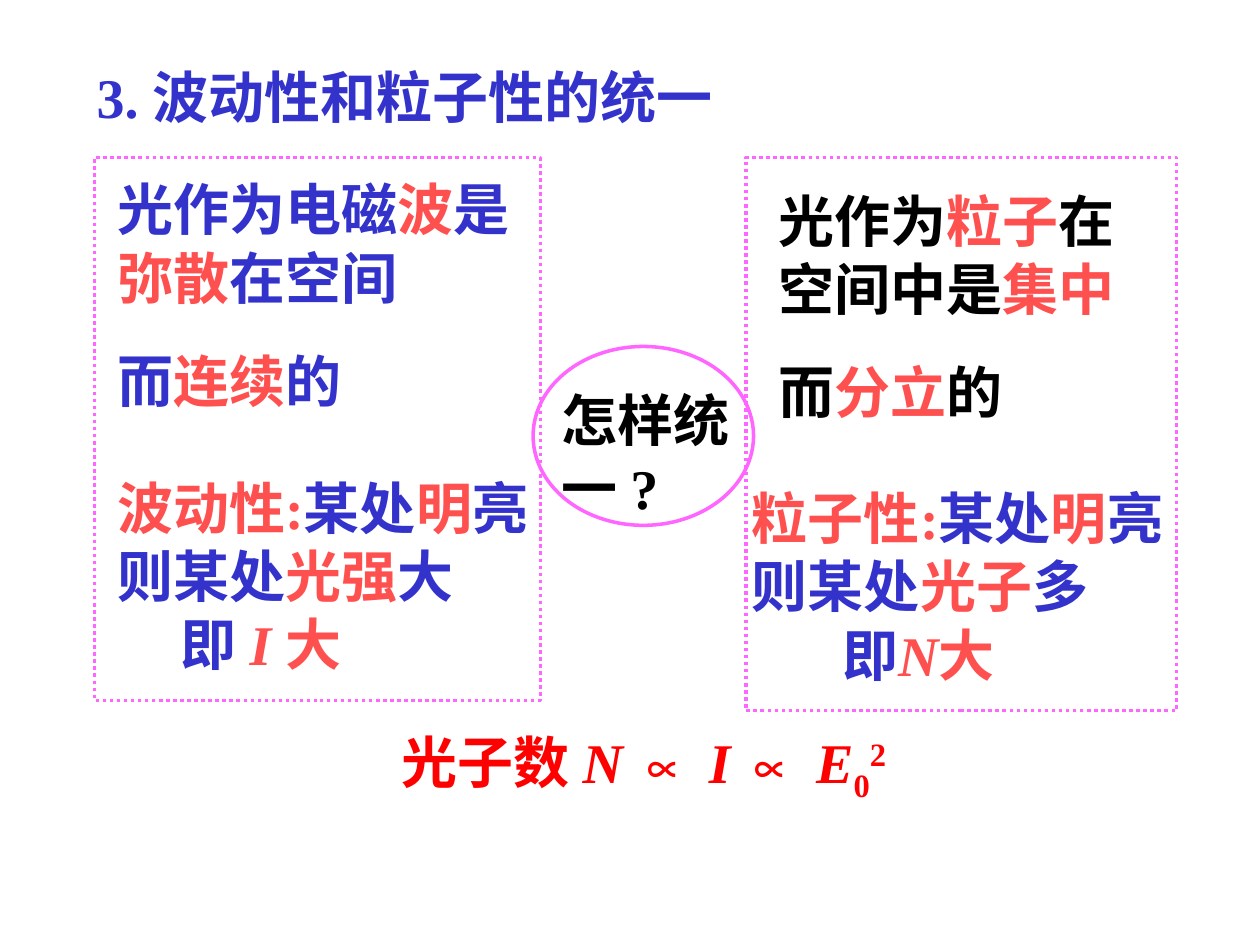
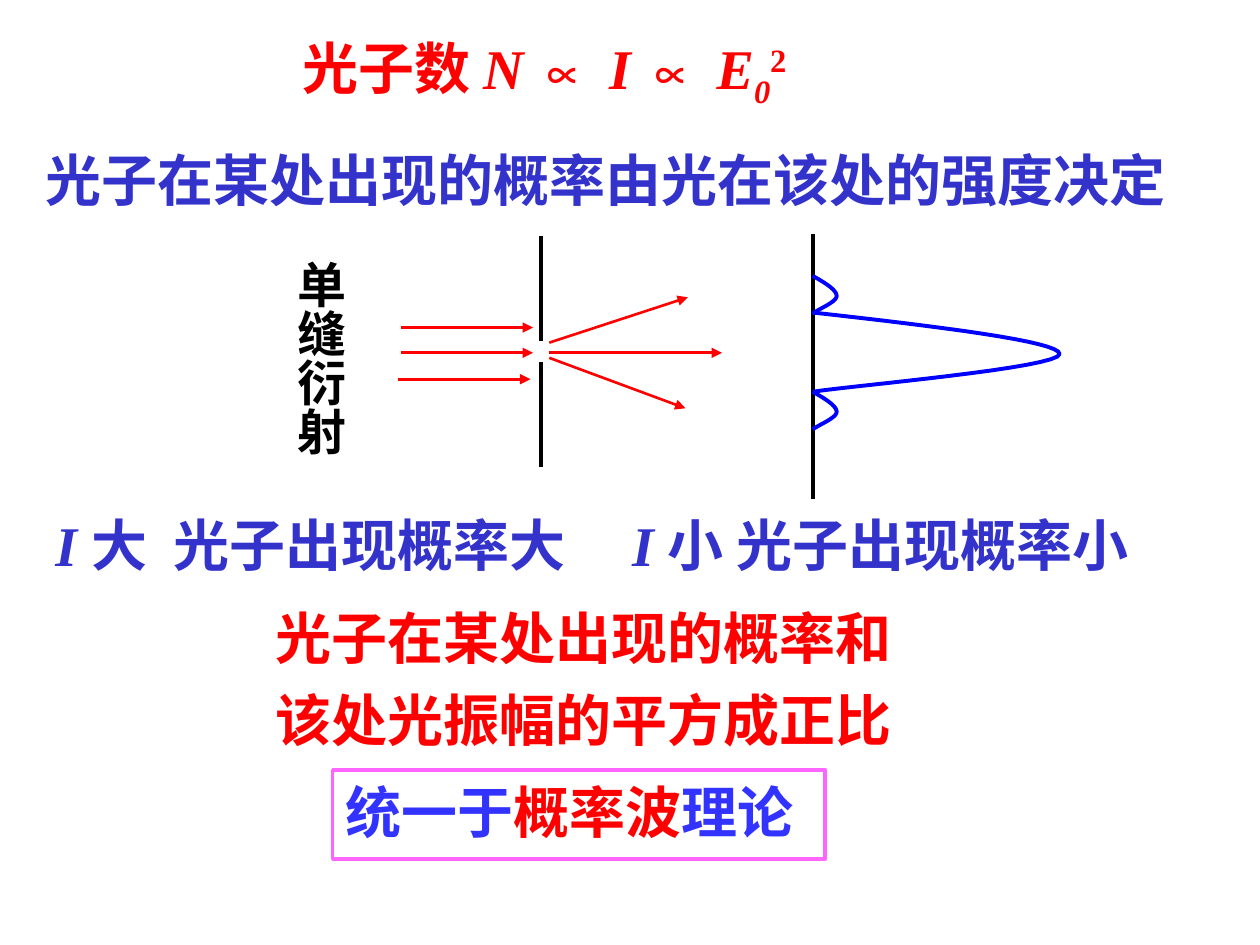
from dataclasses import dataclass

from lxml.etree import SubElement
from pptx import Presentation
from pptx.dml.color import RGBColor
from pptx.enum.dml import MSO_LINE
from pptx.enum.shapes import MSO_CONNECTOR, MSO_SHAPE
from pptx.enum.text import PP_ALIGN
from pptx.oxml.ns import qn
from pptx.util import Pt


@dataclass(frozen=True)
class Theme:
    blue: str = "3333CC"
    bright: str = "3333FF"
    curve: str = "0000FF"
    coral: str = "FF5050"
    red: str = "FF0000"
    black: str = "000000"
    pink: str = "FF66FF"
    serif: str = "Times New Roman"
    sans: str = "Arial"
    han: str = "Noto Sans CJK SC"
    size: int = 32
    small: int = 28
    lead: float = 1.22
    loose: float = 1.46


T = Theme()


def write(slide, place, paras, size=T.size, lead=T.lead, gap=0, align=PP_ALIGN.LEFT):
    """Each run is (text, colour, options); options: font, italic, base, space."""
    box = slide.shapes.add_textbox(*map(Pt, place))
    frame = box.text_frame
    frame.word_wrap = True
    for i, runs in enumerate(paras):
        para = frame.paragraphs[0] if i == 0 else frame.add_paragraph()
        para.alignment = align
        para.line_spacing = Pt(round(size * lead))
        if i:
            para.space_before = Pt(gap)
        for text, color, *rest in runs:
            opts = rest[0] if rest else {}
            run = para.add_run()
            run.text = text
            font = run.font
            font.size, font.bold = Pt(size), True
            font.italic = opts.get("italic", False)
            font.color.rgb = RGBColor.from_string(color)
            font.name = opts.get("font", T.serif)
            props = run._r.get_or_add_rPr()
            SubElement(props, qn("a:ea")).set("typeface", T.han)
            if "base" in opts:
                props.set("baseline", str(opts["base"] * 1000))
            if "space" in opts:
                props.set("spc", str(opts["space"] * 100))
    return frame


def draw(slide, start, end, color, width, arrow=False):
    line = slide.shapes.add_connector(MSO_CONNECTOR.STRAIGHT, *map(Pt, start + end))
    line.line.color.rgb = RGBColor.from_string(color)
    line.line.width = Pt(width)
    if arrow:
        SubElement(line.line._get_or_add_ln(), qn("a:tailEnd")).set("type", "triangle")
    SubElement(line._element.spPr, qn("a:effectLst"))


deck = Presentation()
deck.slide_width, deck.slide_height = Pt(720), Pt(540)
first, second = [deck.slides.add_slide(deck.slide_layouts[6]) for _ in range(2)]

# Runs used on both slides
slant = {"italic": True}
hei = {"font": T.han}
law = [
    ("N ", T.red, slant), ("∝ ", T.red, {"font": T.sans}),
    ("I ", T.red, slant), ("∝ ", T.red, {"font": T.sans}),
    ("E", T.red, slant),
]
square = ("2", T.red, {"base": 30})

# Slide 1: title
write(first, (48.2, 31.7, 462, 46), [[("3. 波动性和粒子性的统一", T.blue)]])

# Slide 1: how light spreads, as wave and as particle
write(first, (59.8, 95.8, 249.1, 142.6), [
    [("光作为电磁", T.blue), ("波", T.coral), ("是", T.blue),
     ("弥散", T.coral), ("在空间", T.blue)],
    [("而", T.blue), ("连续", T.coral), ("的", T.blue)],
], gap=20)
write(first, (437.8, 102.2, 234, 142.6), [
    [("光作为", T.black), ("粒子", T.coral), ("在空间中是", T.black), ("集中", T.coral)],
    [("而", T.black), ("分立", T.coral), ("的", T.black)],
], gap=20)

# Slide 1: what brightness means in each view
views = [
    ((59.8, 266.4, 254.9, 122.4), "波动性:", "光强", "大", "即 ", "I ", 36.5),
    ((422.6, 272.2, 250.6, 122.4), "粒子性:", "光子", "多", "即", "N", 51.5),
]
for place, name, what, much, so, sign, indent in views:
    frame = write(first, place, [
        [(name, T.coral), ("某处", T.blue), ("明", T.coral),
         ("亮则某处", T.blue), (what, T.coral), (much, T.blue)],
        [(so, T.blue), (sign, T.coral, slant), ("大", T.coral)],
    ])
    frame.paragraphs[1]._p.get_or_add_pPr().set("marL", str(Pt(indent)))

# Slide 1: question and conclusion
write(first, (313.9, 216, 120.2, 84.2), [[("怎样统一 ?", T.black)]])
write(first, (172.8, 416.9, 390.2, 51.1),
      [[("光子数 ", T.red), *law, ("0", T.red, {"base": -25}), square]],
      align=PP_ALIGN.CENTER)

# Slide 2: statements
write(second, (18.7, 71.3, 701.3, 53.3),
      [[("光子在某处出现的概率由光在该处的强度决定", T.blue, hei)]], lead=T.loose)
write(second, (24.5, 287.3, 356.4, 46), [[
    ("I ", T.blue, slant), ("大", T.blue), (" ", T.blue, {"space": 8}),
    ("光子出现概率大", T.blue)]])
write(second, (354.2, 287.3, 329, 46),
      [[("I ", T.blue, slant), ("小 光子出现概率小", T.blue, hei)]])
write(second, (150.5, 332.6, 374.4, 99.4),
      [[("光子在某处出现的概率和该处光振幅的平方成正比", T.red, hei)]], lead=T.loose)
write(second, (190.1, 439.9, 282.2, 46), [[
    ("统一于", T.bright, hei), ("概率波", T.red, hei), ("理论", T.bright, hei)]])
write(second, (115.9, 20.2, 390.2, 51.1), [[
    ("光子数 ", T.red, hei), *law, ("0", T.red, {"base": -25, "italic": True}), square]],
    align=PP_ALIGN.CENTER)

# Slide 2: upright label
label = write(second, (156.2, 141.8, 47.5, 150.5), [[("单缝衍射", T.black, hei)]],
              size=T.small, align=PP_ALIGN.CENTER)
label._txBody.bodyPr.set("vert", "eaVert")
label.margin_left = label.margin_right = Pt(3.6)
label.margin_top = label.margin_bottom = Pt(7.2)

# Slide 2: slit walls and screen
for x, top, bottom in [(308.9, 134.6, 195.1), (308.9, 206.6, 267.1), (464.4, 133.9, 285.1)]:
    draw(second, (x, top), (x, bottom), T.black, 2.25)

# Slide 2: rays before and after the slit
rays = [
    ((229, 201.6), (304.6, 201.6)),
    ((229, 187.2), (304.6, 187.2)),
    ((227.5, 216.7), (303.1, 216.7)),
    ((313.9, 201.6), (412.6, 201.6)),
    ((313.9, 195.8), (393.1, 169.9)),
    ((313.9, 204.5), (391.7, 233.3)),
]
for start, end in rays:
    draw(second, start, end, T.red, 1.5, arrow=True)

# Slide 2: intensity curve, two cubic arcs for each peak
edge = 464.4
main = [(0, 178.6), (70.6, 186.5), (141.1, 195.1), (141.1, 202.3),
        (141.1, 210.2), (23, 220.3), (0, 223.9)]
side = [(0, 157.7), (6.5, 161.3), (13.7, 165.6), (13.7, 169.2),
        (13.7, 172.8), (2.2, 177.1), (0, 179.3)]
lower = [(x, y + 66.2) for x, y in side]
steps = 16
for peak in (main, side, lower):
    dots = []
    for arc in (peak[:4], peak[3:]):
        for n in range(steps + 1):
            t = n / steps
            parts = ((1 - t) ** 3, 3 * t * (1 - t) ** 2, 3 * t * t * (1 - t), t ** 3)
            x, y = [sum(w * p[k] for w, p in zip(parts, arc)) for k in (0, 1)]
            dots.append((Pt(edge + x), Pt(y)))
    pen = second.shapes.build_freeform(*dots[0])
    pen.add_line_segments(dots[1:], close=False)
    wave = pen.convert_to_shape()
    wave.shadow.inherit = False
    wave.fill.background()
    wave.line.color.rgb = RGBColor.from_string(T.curve)
    wave.line.width = Pt(2.25)

# Pink outlines on both slides
rect = MSO_SHAPE.RECTANGLE
rings = [
    (first, rect, (54, 90, 254.9, 310.3), True),
    (first, rect, (426.2, 90, 246.2, 316.1), True),
    (first, MSO_SHAPE.OVAL, (304.6, 198, 126, 102.2), False),
    (second, rect, (190.1, 439.9, 281.5, 51.1), False),
]
for slide, kind, place, dotted in rings:
    ring = slide.shapes.add_shape(kind, *map(Pt, place))
    ring.shadow.inherit = False
    ring.fill.background()
    ring.line.color.rgb = RGBColor.from_string(T.pink)
    ring.line.width = Pt(2)
    if dotted:
        ring.line.dash_style = MSO_LINE.ROUND_DOT

deck.save("out.pptx")
